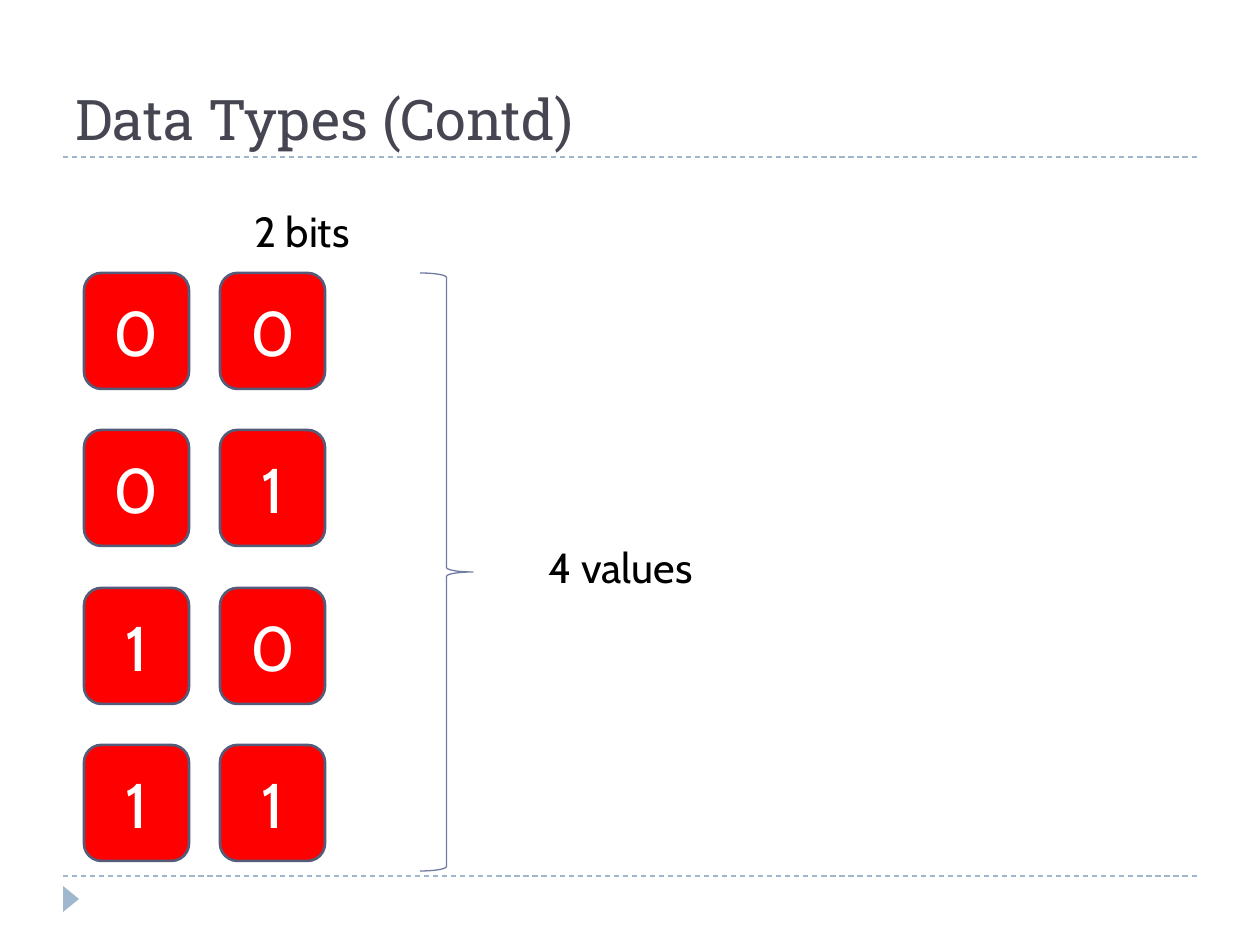
from dataclasses import dataclass

from lxml.etree import SubElement
from pptx import Presentation
from pptx.dml.color import RGBColor as Color
from pptx.enum.dml import MSO_LINE_DASH_STYLE as Dash
from pptx.enum.shapes import MSO_CONNECTOR as Connector, MSO_SHAPE as Shape
from pptx.enum.text import MSO_ANCHOR as Anchor, MSO_AUTO_SIZE as AutoSize, PP_ALIGN as Align
from pptx.oxml.ns import qn
from pptx.util import Emu, Pt


@dataclass(frozen=True)
class Theme:
    heading_font: str = "Roboto Slab"
    body_font: str = "Cabin"
    title_size: int = 32
    label_size: int = 24
    bit_size: int = 36
    title: str = "464653"
    label: str = "000000"
    bit_text: str = "FFFFFF"
    bit_fill: str = "FF0000"
    bit_line: str = "545C79"
    brace: str = "727CA3"
    accent: str = "9FB8CD"


def px(*lengths):
    return [Emu(length * 914400 // 126) for length in lengths]


class SlideBuilder:
    def __init__(self, page, theme):
        self.page = page
        self.theme = theme

    def set_text(self, frame, text, font, size, color, align=Align.LEFT):
        frame.text = text
        para = frame.paragraphs[0]
        para.alignment = align
        span = para.runs[0]
        span.font.name = font
        span.font.size = Pt(size)
        span.font.color.rgb = Color.from_string(color)

    def outline(self, line, color, width):
        line.color.rgb = Color.from_string(color)
        line.width = Pt(width)

    def shape(self, kind, bounds, fill=None):
        shape = self.page.shapes.add_shape(kind, *px(*bounds))
        shape.shadow.inherit = False
        if fill:
            shape.fill.solid()
            shape.fill.fore_color.rgb = Color.from_string(fill)
        else:
            shape.fill.background()
        return shape

    def title(self, text, bounds):
        box = self.page.shapes.title
        box.left, box.top, box.width, box.height = px(*bounds)
        frame = box.text_frame
        frame.auto_size = AutoSize.NONE
        frame.vertical_anchor = Anchor.BOTTOM
        self.set_text(frame, text, self.theme.heading_font, self.theme.title_size, self.theme.title)

    def label(self, text, bounds):
        frame = self.page.shapes.add_textbox(*px(*bounds)).text_frame
        frame.word_wrap = False
        frame.auto_size = AutoSize.SHAPE_TO_FIT_TEXT
        self.set_text(frame, text, self.theme.body_font, self.theme.label_size, self.theme.label)

    def rule(self, left, right, top):
        line = self.page.shapes.add_connector(Connector.STRAIGHT, *px(left, top, right, top))
        self.outline(line.line, self.theme.accent, 0.75)
        line.line.dash_style = Dash.DASH
        SubElement(line._element.spPr, qn("a:effectLst"))

    def marker(self, bounds):
        triangle = self.shape(Shape.ISOSCELES_TRIANGLE, bounds, self.theme.accent)
        triangle.line.fill.background()
        triangle.rotation = 90

    def bit(self, digit, bounds):
        cell = self.shape(Shape.ROUNDED_RECTANGLE, bounds, self.theme.bit_fill)
        self.outline(cell.line, self.theme.bit_line, 1.5)
        cell.text_frame.vertical_anchor = Anchor.MIDDLE
        self.set_text(cell.text_frame, digit, self.theme.body_font, self.theme.bit_size,
                      self.theme.bit_text, Align.CENTER)

    def brace(self, bounds):
        brace = self.shape(Shape.RIGHT_BRACE, bounds)
        self.outline(brace.line, self.theme.brace, 0.75)


def main():
    deck = Presentation()
    deck.slide_width, deck.slide_height = px(1260, 945)
    page = deck.slides.add_slide(deck.slide_layouts[5])
    builder = SlideBuilder(page, Theme())

    for top in (876, 157):
        builder.rule(63, 1197, top)
    builder.marker((58, 891, 26, 16))
    builder.title("Data Types (Contd)", (63, 32, 1134, 126))

    builder.label("2 bits", (242, 199, 127, 63))
    for row, value in enumerate(("00", "01", "10", "11")):
        for column, digit in enumerate(value):
            builder.bit(digit, (84 + 136 * column, 273 + 315 * row // 2, 105, 116))
    builder.brace((420, 273, 53, 598))
    builder.label("4 values", (536, 535, 184, 63))

    deck.save("out.pptx")


if __name__ == "__main__":
    main()
